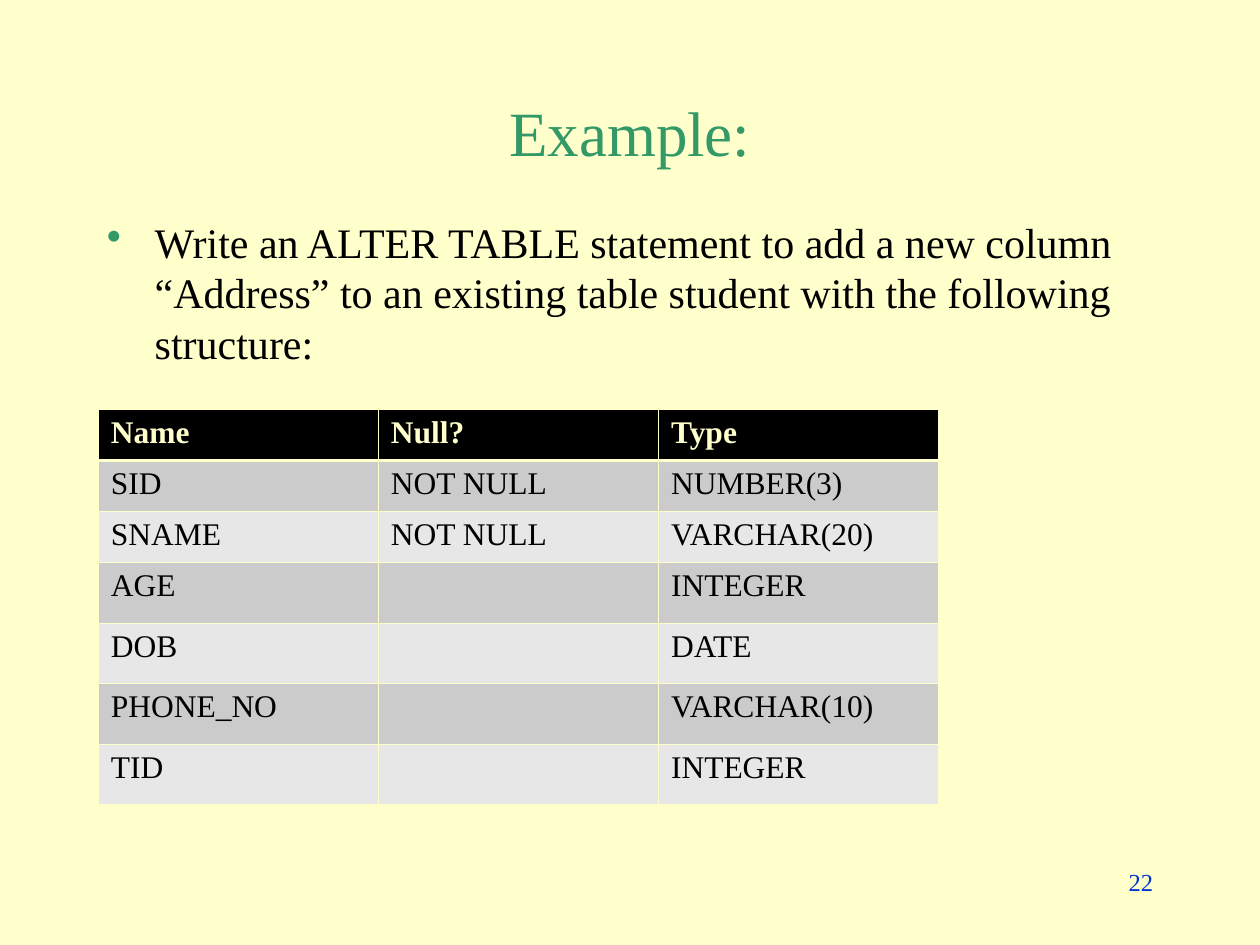
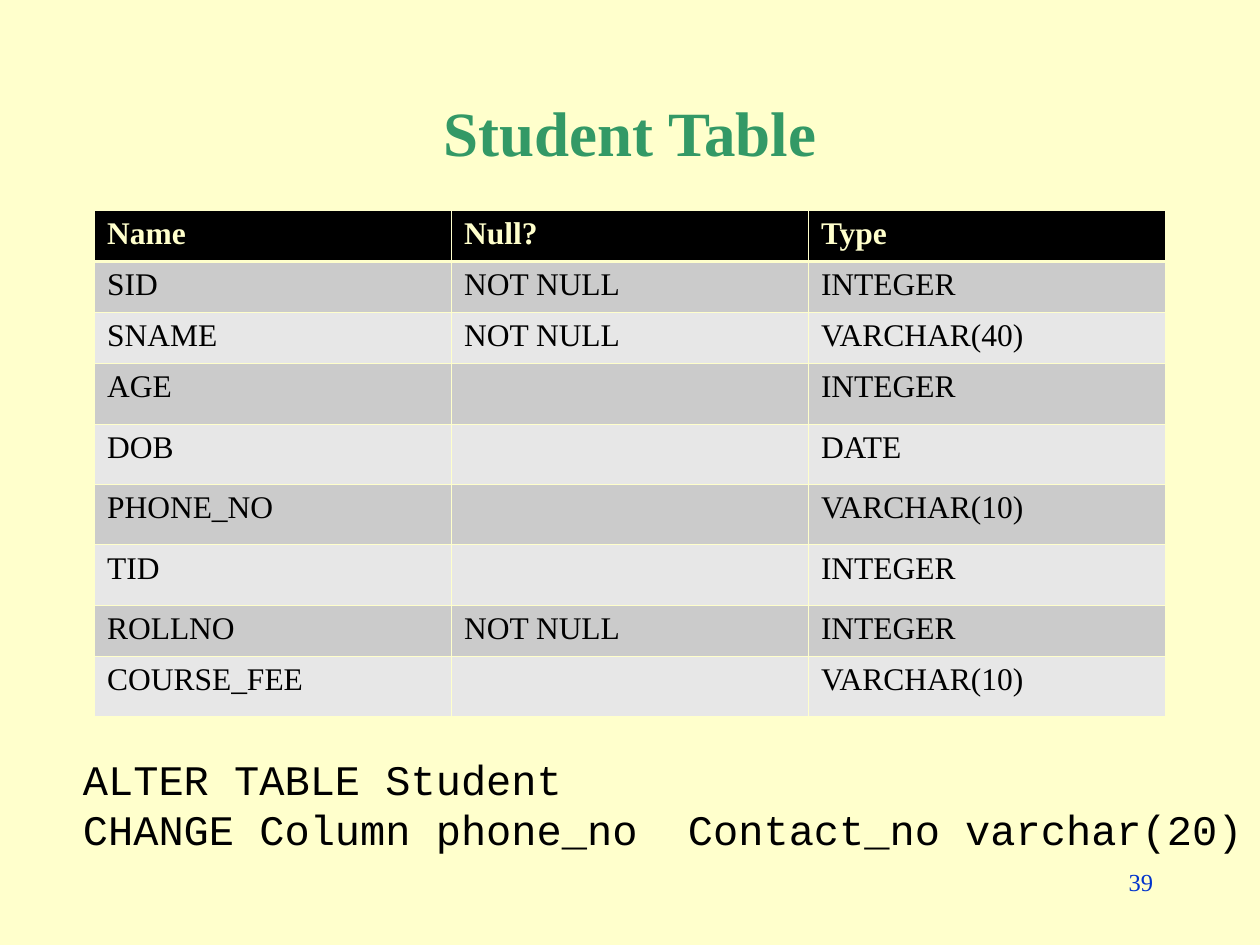
"""Build two slides on altering the student table."""
import dataclasses

import lxml.etree
import pptx
import pptx.dml.color
import pptx.enum.text
import pptx.oxml.ns
import pptx.util

Inches = pptx.util.Inches
Pt = pptx.util.Pt
Align = pptx.enum.text.PP_ALIGN
Anchor = pptx.enum.text.MSO_ANCHOR


@dataclasses.dataclass(frozen=True)
class Theme:
    serif: str = "Times New Roman"
    mono: str = "Courier New"
    paper: str = "FFFFCC"
    ink: str = "000000"
    green: str = "339966"
    blue: str = "0033CC"
    bands: tuple = ("E7E7E7", "CBCBCB")
    head: float = 36
    body: float = 24
    cell: float = 18
    foot: float = 14
    pitch: float = 28.8
    thin: float = 0.45
    thick: float = 1.47


def rgb(code):
    return pptx.dml.color.RGBColor.from_string(code)


def add(parent, tag, **attrs):
    return lxml.etree.SubElement(parent, pptx.oxml.ns.qn(tag), **attrs)


class Deck:
    def __init__(self, theme):
        self.theme = theme
        self.show = pptx.Presentation()
        self.show.slide_width = Inches(10)
        self.show.slide_height = Inches(7.5)
        fill = self.show.slide_master.background.fill
        fill.solid()
        fill.fore_color.rgb = rgb(theme.paper)
        self.slide = None

    def style(self, para, size, color, face=None, bold=False):
        font = para.font
        font.name = face or self.theme.serif
        font.size = Pt(size)
        font.bold = bold
        font.color.rgb = rgb(color)

    def start(self, title, number, bold=False):
        theme = self.theme
        self.slide = self.show.slides.add_slide(self.show.slide_layouts[5])
        shape = self.slide.shapes.title
        shape.left, shape.top = Inches(0.75), Inches(0.67)
        shape.width, shape.height = Inches(8.5), Inches(0.75)
        frame = shape.text_frame
        frame.text = title
        frame.vertical_anchor = Anchor.MIDDLE
        para = frame.paragraphs[0]
        para.alignment = Align.CENTER
        self.style(para, theme.head, theme.green, bold=bold)
        para = self.text(str(number), 7.17, 6.83, 2.08, 0.5).paragraphs[0]
        para.alignment = Align.RIGHT
        self.style(para, theme.foot, theme.blue)

    def text(self, words, left, top, width, height, wrap=True):
        box = self.slide.shapes.add_textbox(
            Inches(left), Inches(top), Inches(width), Inches(height))
        box.text_frame.word_wrap = wrap
        box.text_frame.text = words
        return box.text_frame

    def bullet(self, words):
        theme = self.theme
        para = self.text(words, 0.75, 1.67, 8.5, 5).paragraphs[0]
        para.line_spacing = Pt(theme.pitch)
        props = para._p.get_or_add_pPr()
        props.set("marL", str(Inches(0.38)))
        props.set("indent", str(Inches(-0.38)))
        add(add(props, "a:buClr"), "a:srgbClr", val=theme.green)
        add(props, "a:buChar", char="•")
        self.style(para, theme.body, theme.ink)

    def code(self, words):
        theme = self.theme
        frame = self.text(words, 0.56, 5.93, 9.4, 0.9, wrap=False)
        for para in frame.paragraphs:
            para.line_spacing = Pt(theme.pitch)
            self.style(para, theme.body, theme.ink, theme.mono)

    def border(self, cell, row):
        theme = self.theme
        props = cell._tc.get_or_add_tcPr()
        heavy = {0: "B", 1: "T"}.get(row)
        for side in "LRTB":
            width = theme.thick if side == heavy else theme.thin
            line = add(props, f"a:ln{side}", w=str(Pt(width)))
            add(add(line, "a:solidFill"), "a:srgbClr", val=theme.paper)

    def table(self, rows, left, top, width):
        theme = self.theme
        rows = [("Name", "Null?", "Type"), *rows]
        grid = self.slide.shapes.add_table(
            len(rows), len(rows[0]), Inches(left), Inches(top),
            Inches(width), Inches(0.405 * len(rows))).table
        for i, row in enumerate(rows):
            if "" in row:
                grid.rows[i].height = Inches(0.48)
            for j, words in enumerate(row):
                cell = grid.cell(i, j)
                self.border(cell, i)
                cell.fill.solid()
                shade = theme.bands[i % 2] if i else theme.ink
                cell.fill.fore_color.rgb = rgb(shade)
                cell.text = words
                color = theme.ink if i else theme.paper
                self.style(cell.text_frame.paragraphs[0], theme.cell, color,
                           bold=i == 0)


def fields(key, name):
    return [
        ("SID", "NOT NULL", key),
        ("SNAME", "NOT NULL", name),
        ("AGE", "", "INTEGER"),
        ("DOB", "", "DATE"),
        ("PHONE_NO", "", "VARCHAR(10)"),
        ("TID", "", "INTEGER"),
    ]


def main():
    deck = Deck(Theme())

    deck.start("Example:", 22)
    deck.bullet("Write an ALTER TABLE statement to add a new column “Address” "
                "to an existing table student with the following structure:")
    deck.table(fields("NUMBER(3)", "VARCHAR(20)"), 0.78, 3.25, 6.67)

    deck.start("Student Table", 39, bold=True)
    extra = [("ROLLNO", "NOT NULL", "INTEGER"),
             ("COURSE_FEE", "", "VARCHAR(10)")]
    deck.table(fields("INTEGER", "VARCHAR(40)") + extra, 0.75, 1.67, 8.5)
    deck.code("ALTER TABLE Student\n"
              "CHANGE Column phone_no  Contact_no varchar(20)")

    deck.show.save("out.pptx")


if __name__ == "__main__":
    main()
